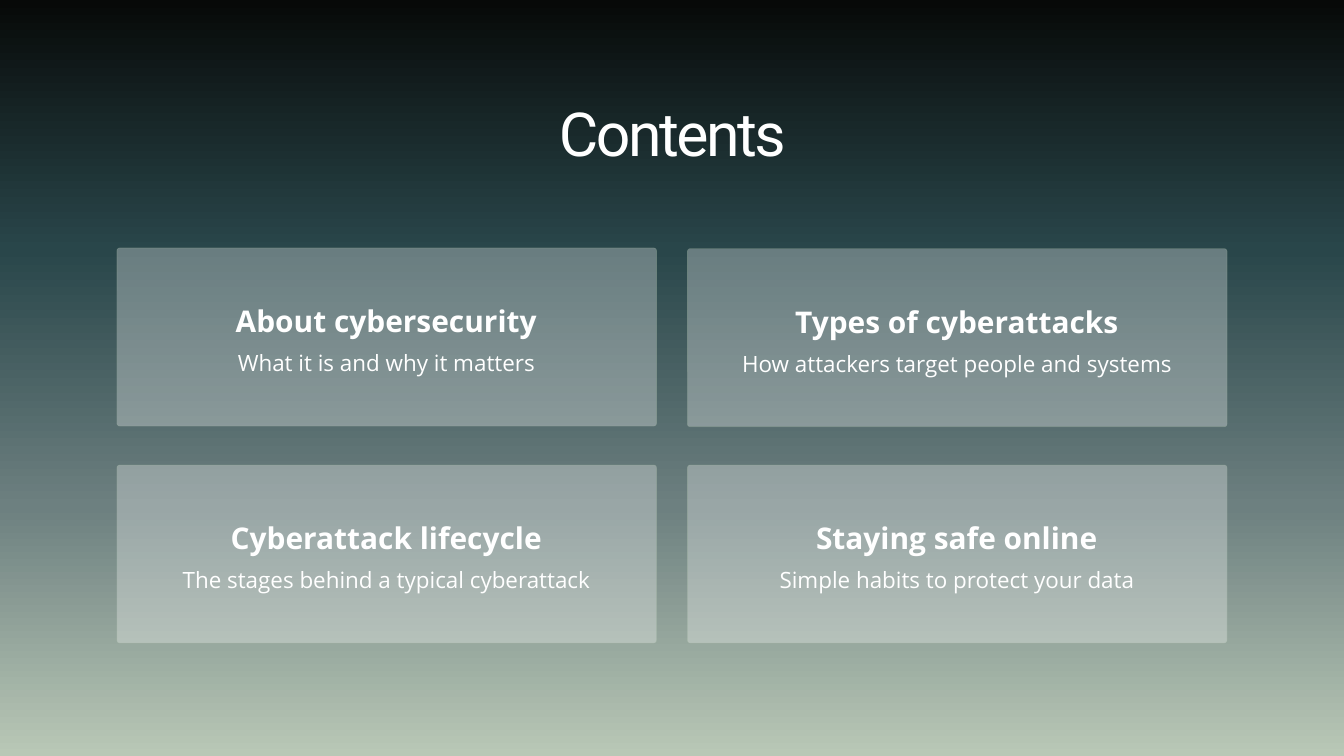
from dataclasses import dataclass

import pptx
import pptx.dml.color
import pptx.enum.shapes
import pptx.enum.text
import pptx.oxml
import pptx.oxml.ns
import pptx.util
from pptx.util import Inches

qn = pptx.oxml.ns.qn


@dataclass(frozen=True)
class TextStyle:
    font: str
    size: float
    leading: float
    bold: bool = False
    spacing: float = 0


@dataclass(frozen=True)
class Theme:
    white: str = "FFFFFF"
    border: str = "9EB49F"
    card_alpha: int = 30
    backdrop: tuple = ((0, "070908"), (33, "29464A"), (67, "6D8080"), (100, "B9C8B6"))
    title: TextStyle = TextStyle("Roboto", 65, 78, spacing=-2.7)
    heading: TextStyle = TextStyle("Open Sans", 32, 44.8, bold=True)
    caption: TextStyle = TextStyle("Open Sans", 24, 33.6)


@dataclass(frozen=True)
class Card:
    left: float
    top: float
    heading: str
    caption: str


THEME = Theme()
CARD_W, CARD_H = 8.03, 2.65
CORNER = 0.04
TEXT_INSET, TEXT_W = 0.53, 6.96
LEFT, RIGHT = 1.74, 10.23
CARDS = (
    Card(LEFT, 3.69, "About cybersecurity", "What it is and why it matters"),
    Card(RIGHT, 3.7, "Types of cyberattacks", "How attackers target people and systems"),
    Card(LEFT, 6.92, "Cyberattack lifecycle", "The stages behind a typical cyberattack"),
    Card(RIGHT, 6.92, "Staying safe online", "Simple habits to protect your data"),
)


def rgb(value: str) -> pptx.dml.color.RGBColor:
    return pptx.dml.color.RGBColor.from_string(value)


def set_backdrop(s) -> None:
    """Fill the background with the theme's top-to-bottom gradient."""
    fill = s.background.fill
    fill.gradient()
    fill.gradient_angle = 270
    stops = s.element.find(".//" + qn("a:gsLst"))
    for stop in list(stops):
        stops.remove(stop)
    for percent, color in THEME.backdrop:
        stop = pptx.oxml.ns.qn("a:gs")
        gs = stops.makeelement(stop, {"pos": str(percent * 1000)})
        gs.append(gs.makeelement(qn("a:srgbClr"), {"val": color}))
        stops.append(gs)


def add_text(s, text: str, left: float, top: float, width: float, height: float,
             style: TextStyle) -> None:
    box = s.shapes.add_textbox(Inches(left), Inches(top), Inches(width), Inches(height))
    tf = box.text_frame
    frame_format = {
        "margin_left": 0, "margin_top": 0, "margin_right": 0, "margin_bottom": 0,
        "word_wrap": True,
        "auto_size": pptx.enum.text.MSO_AUTO_SIZE.SHAPE_TO_FIT_TEXT,
    }
    for name, value in frame_format.items():
        setattr(tf, name, value)
    p = tf.paragraphs[0]
    p.alignment = pptx.enum.text.PP_ALIGN.CENTER
    p.line_spacing = pptx.util.Pt(style.leading)
    r = p.add_run()
    r.text = text
    font_format = {"name": style.font, "size": pptx.util.Pt(style.size), "bold": style.bold}
    for name, value in font_format.items():
        setattr(r.font, name, value)
    r.font.color.rgb = rgb(THEME.white)
    if style.spacing:
        r.font._element.set("spc", str(round(style.spacing * 100)))


def add_card(s, card: Card) -> None:
    sp = s.shapes.add_shape(
        pptx.enum.shapes.MSO_SHAPE.ROUNDED_RECTANGLE,
        Inches(card.left), Inches(card.top), Inches(CARD_W), Inches(CARD_H))
    sp.adjustments[0] = CORNER / CARD_H
    sp.shadow.inherit = False
    sp.fill.solid()
    sp.fill.fore_color.rgb = rgb(THEME.white)
    sp.line.color.rgb = rgb(THEME.border)
    sp.line.width = pptx.util.Pt(0.75)
    for color in sp.element.spPr.iter(qn("a:srgbClr")):
        alpha = color.makeelement(qn("a:alpha"), {"val": str(THEME.card_alpha * 1000)})
        color.append(alpha)
    left = card.left + TEXT_INSET
    add_text(s, card.heading, left, card.top + 0.73, TEXT_W, 0.59, THEME.heading)
    add_text(s, card.caption, left, card.top + 1.44, TEXT_W, 0.44, THEME.caption)


def main() -> None:
    prs = pptx.Presentation()
    prs.slide_width, prs.slide_height = Inches(20), Inches(11.25)
    s = prs.slides.add_slide(prs.slide_layouts[6])
    set_backdrop(s)
    add_text(s, "Contents", LEFT, 1.43, 16.53, 1.08, THEME.title)
    for card in CARDS:
        add_card(s, card)
    prs.save("out.pptx")


if __name__ == "__main__":
    main()
